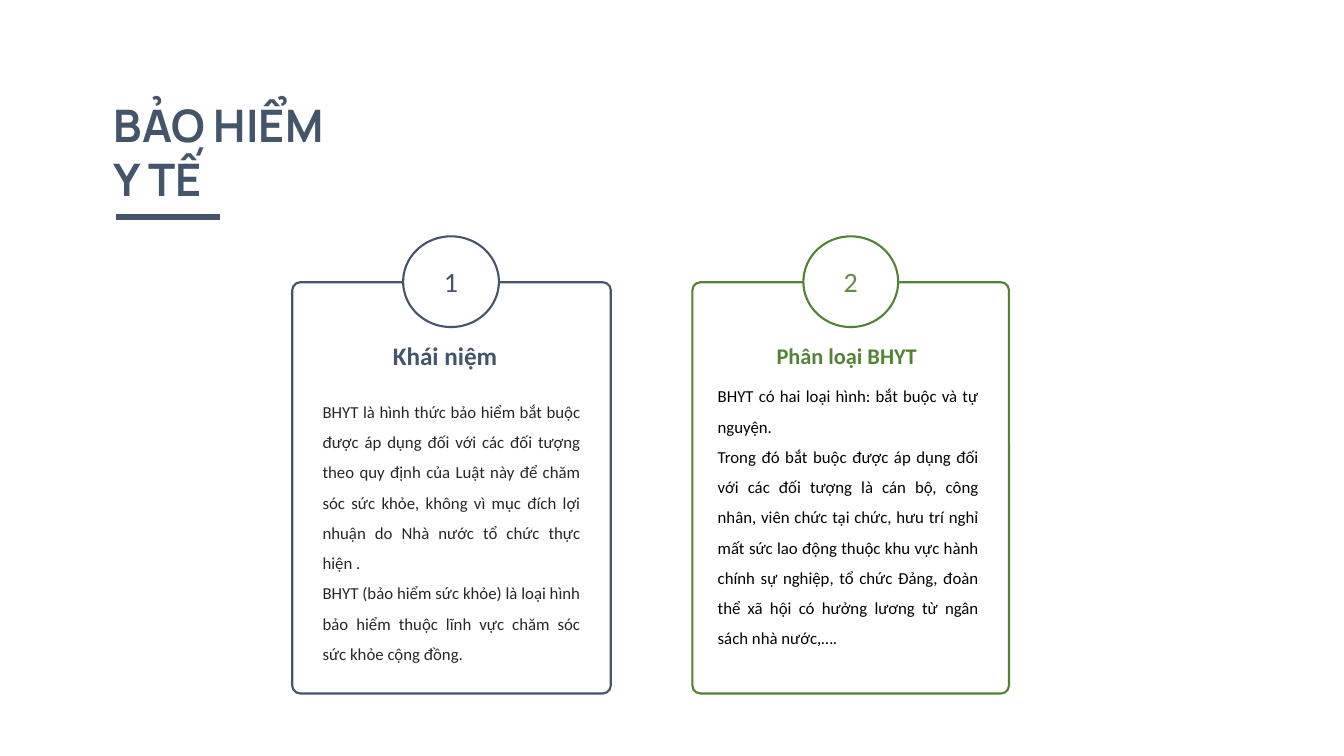
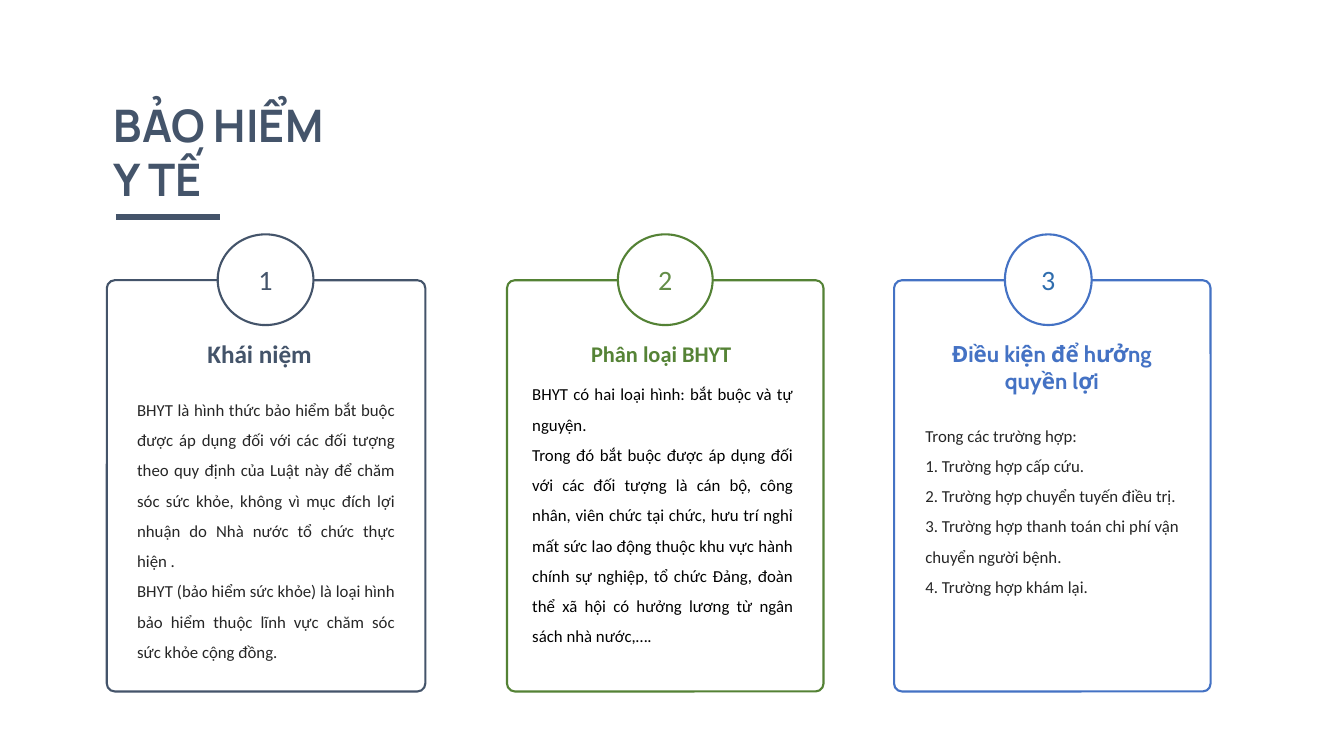
from dataclasses import dataclass

from lxml import etree
from pptx import Presentation
from pptx.dml.color import RGBColor
from pptx.enum.shapes import MSO_CONNECTOR, MSO_SHAPE
from pptx.enum.text import MSO_ANCHOR, MSO_AUTO_SIZE, PP_ALIGN
from pptx.oxml.ns import qn
from pptx.util import Inches, Pt

ROUND, OVAL = MSO_SHAPE.ROUNDED_RECTANGLE, MSO_SHAPE.OVAL
STRAIGHT = MSO_CONNECTOR.STRAIGHT
TOP, MIDDLE = MSO_ANCHOR.TOP, MSO_ANCHOR.MIDDLE
LEFT, CENTER, JUSTIFY = PP_ALIGN.LEFT, PP_ALIGN.CENTER, PP_ALIGN.JUSTIFY
FIT = MSO_AUTO_SIZE.SHAPE_TO_FIT_TEXT

WIDE, HIGH = Inches(13.33), Inches(7.5)
COLS, ROWS = 80, 45
COMPARISON = 4
NAVY, GREEN, BLUE = "44546A", "548235", "4472C4"
WHITE, BLACK, DARK = "FFFFFF", "000000", "262626"
FONT = "Calibri"
TITLE = ("BẢO HIỂM", "Y TẾ")
CARD_H, DISC_H = 24.48, 5.4
DISC_X, DISC_Y = 6.6, -2.73


@dataclass
class Card:
    """Content of a numbered card; boxes are offsets from its corner."""
    num: str
    num_tint: str
    line: str
    wide: float
    disc: float
    head: str
    head_box: tuple
    head_font: str
    head_size: int
    head_tint: str
    text: tuple
    text_box: tuple
    text_tint: str


CARDS = (
    Card("1", NAVY, NAVY, 18.96, 5.7,
         "Khái niệm", (3.12, 3.18, 11.94, 2.4), FONT, 18, NAVY,
         ("BHYT là hình thức bảo hiểm bắt buộc được áp dụng đối với các đối "
          "tượng theo quy định của Luật này để chăm sóc sức khỏe, không vì "
          "mục đích lợi nhuận do Nhà nước tổ chức thực hiện .",
          "BHYT (bảo hiểm sức khỏe) là loại hình bảo hiểm thuộc lĩnh vực "
          "chăm sóc sức khỏe cộng đồng."),
         (1.2, 6.21, 16.56, 16.74), DARK),
    Card("2", "638D47", GREEN, 18.84, 5.64,
         "Phân loại BHYT", (3.48, 3.3, 11.4, 2.22), FONT, 16, "558336",
         ("BHYT có hai loại hình: bắt buộc và tự nguyện.",
          "Trong đó bắt buộc được áp dụng đối với các đối tượng là cán bộ, "
          "công nhân, viên chức tại chức, hưu trí nghỉ mất sức lao động "
          "thuộc khu vực hành chính sự nghiệp, tổ chức Đảng, đoàn thể xã hội "
          "có hưởng lương từ ngân sách nhà nước,…."),
         (0.9, 5.28, 16.74, 18.54), BLACK),
    Card("3", "2F6DAE", BLUE, 18.84, 5.16,
         "Điều kiện để hưởng quyền lợi", (1.92, 3.3, 14.94, 3.84),
         "Cabin", 16, BLUE,
         ("Trong các trường hợp:",
          "1. Trường hợp cấp cứu.",
          "2. Trường hợp chuyển tuyến điều trị.",
          "3. Trường hợp thanh toán chi phí vận chuyển người bệnh.",
          "4. Trường hợp khám lại."),
         (1.26, 7.74, 16.32, 13.08), DARK),
)
PAGES = (
    (16.8, (17.4, 41.22)),
    (16.68, (6.36, 30.18, 53.22)),
)


def color(tint):
    """Turn a hex string into a colour."""
    return RGBColor.from_string(tint)


def grid(x, y, w, h):
    """Turn columns and rows into slide lengths."""
    col, row = WIDE / COLS, HIGH / ROWS
    return round(x * col), round(y * row), round(w * col), round(h * row)


def place(shape, box):
    """Move and size a shape on the grid."""
    shape.left, shape.top, shape.width, shape.height = grid(*box)


def write(shape, lines, size, tint, align, font=FONT, bold=False,
          space=1.0, anchor=TOP):
    """Fill a shape with plain paragraphs of one style."""
    frame = shape.text_frame
    frame.word_wrap = True
    frame.vertical_anchor = anchor
    for i, line in enumerate(lines):
        para = frame.paragraphs[0] if i == 0 else frame.add_paragraph()
        para.alignment = align
        para.line_spacing = space
        para.space_before = Pt(0)
        props = para._p.get_or_add_pPr()
        props.set("marL", "0")
        props.set("indent", "0")
        etree.SubElement(props, qn("a:buNone"))
        run = para.add_run()
        run.text = line
        run.font.name = font
        run.font.size = Pt(size)
        run.font.bold = bold
        run.font.color.rgb = color(tint)


def outline(slide, kind, box, tint, fill=None):
    """Draw an outlined shape, hollow unless a fill is given."""
    shape = slide.shapes.add_shape(kind, *grid(*box))
    shape.shadow.inherit = False
    shape.line.color.rgb = color(tint)
    shape.line.width = Pt(1.5)
    if fill:
        shape.fill.solid()
        shape.fill.fore_color.rgb = color(fill)
    else:
        shape.fill.background()
    return shape


def heading(slide):
    """Set the shared title and the bar beneath it."""
    title = slide.shapes.title
    place(title, (6.18, 5.52, 15.24, 7.08))
    title.text_frame.auto_size = FIT
    write(title, TITLE, 32, NAVY, LEFT, "Manrope", True)
    x, y, w, _ = grid(6.9, 12.9, 6.18, 0)
    bar = slide.shapes.add_connector(STRAIGHT, x, y, x + w, y)
    bar.line.color.rgb = color(NAVY)
    bar.line.width = Pt(4.5)
    etree.SubElement(bar._element.spPr, qn("a:effectLst"))


def draw(slide, card, body, x, y):
    """Draw one numbered card with its corner at x, y."""
    def shift(box):
        """Offset a box from the corner of the card."""
        return (x + box[0], y + box[1], *box[2:])

    frame = outline(slide, ROUND, (x, y, card.wide, CARD_H), card.line)
    frame.adjustments[0] = 0.025
    disc = outline(slide, OVAL, shift((DISC_X, DISC_Y, card.disc, DISC_H)),
                   card.line, WHITE)
    write(disc, (card.num,), 20, card.num_tint, CENTER, anchor=MIDDLE)
    head = slide.shapes.add_textbox(*grid(*shift(card.head_box)))
    head.text_frame.auto_size = FIT
    write(head, (card.head,), card.head_size, card.head_tint, CENTER,
          card.head_font, True)
    place(body, shift(card.text_box))
    body.text_frame.auto_size = FIT
    write(body, card.text, 12, card.text_tint, JUSTIFY, space=1.5)


def build(deck, top, lefts):
    """Add a slide with one card for each left edge."""
    slide = deck.slides.add_slide(deck.slide_layouts[COMPARISON])
    heading(slide)
    slots = list(slide.placeholders)[1:]
    for card, body, left in zip(CARDS, slots, lefts):
        draw(slide, card, body, left, top)
    for spare in slots[len(lefts):]:
        spare._element.getparent().remove(spare._element)


def main():
    """Build the deck and save it."""
    deck = Presentation()
    deck.slide_width, deck.slide_height = WIDE, HIGH
    for top, lefts in PAGES:
        build(deck, top, lefts)
    deck.save("out.pptx")


main()
